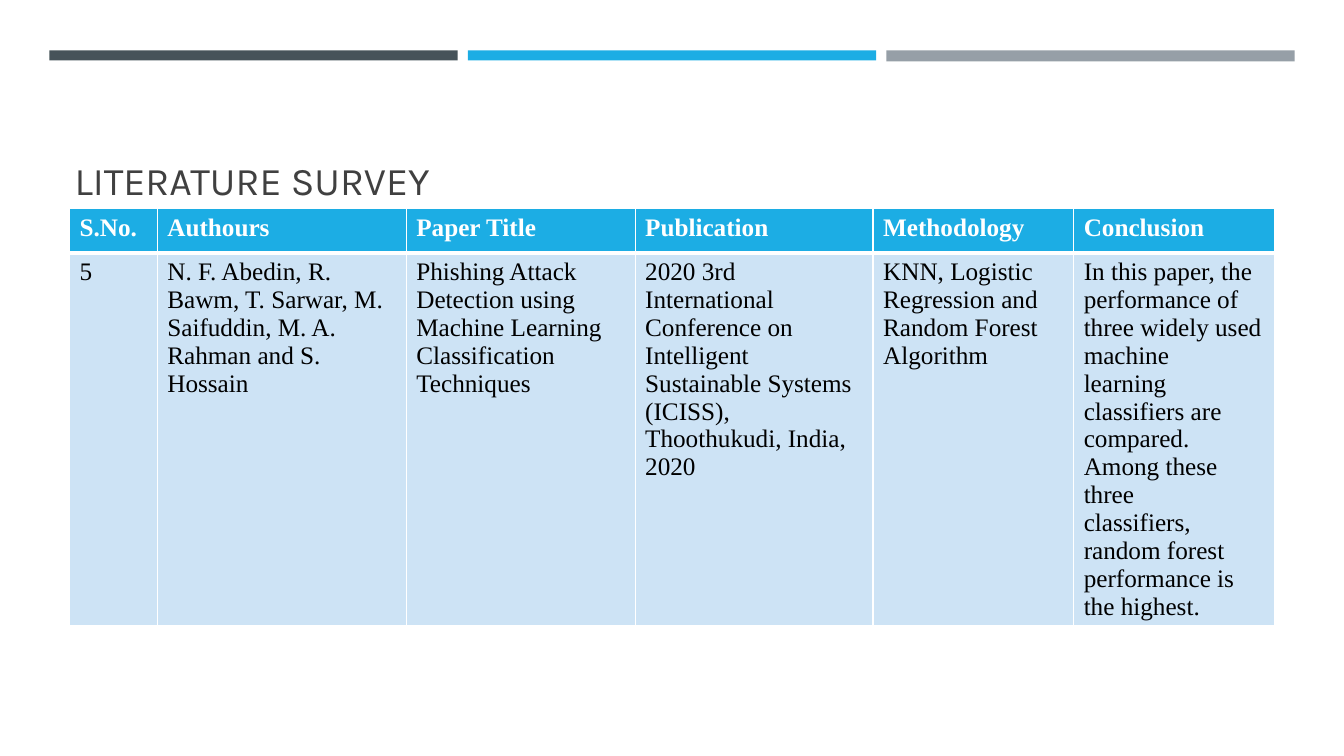
from dataclasses import dataclass

from lxml.etree import SubElement
from pptx import Presentation
from pptx.dml.color import RGBColor
from pptx.enum.shapes import MSO_SHAPE
from pptx.enum.text import MSO_ANCHOR, MSO_AUTO_SIZE, PP_ALIGN
from pptx.oxml.ns import qn
from pptx.util import Emu, Pt

EMU_PER_PX = 9144  # 100 px to the inch
WHITE = "FFFFFF"
BLUE = "1CADE4"


@dataclass
class Bar:
    color: str
    height: int


@dataclass
class Column:
    width: int
    heading: str
    entry: str


@dataclass
class RowStyle:
    height: int
    fill: str
    ink: str
    bold: bool
    top_line: int
    bottom_line: int


BARS = [Bar("465359", 10), Bar(BLUE, 10), Bar("969FA7", 11)]
BAR_LEFT, BAR_TOP, BAR_WIDTH, BAR_STEP = 49, 50, 405, 415

COLUMNS = [
    Column(87, "S.No.", "5"),
    Column(247, "Authours",
           "N. F. Abedin, R. Bawm, T. Sarwar, M. Saifuddin, M. A. Rahman and S. Hossain"),
    Column(227, "Paper Title",
           "Phishing Attack Detection using Machine Learning Classification Techniques"),
    Column(236, "Publication",
           "2020 3rd International Conference on Intelligent Sustainable Systems "
           "(ICISS), Thoothukudi, India, 2020"),
    Column(199, "Methodology", "KNN, Logistic Regression and Random Forest Algorithm"),
    Column(199, "Conclusion",
           "In this paper, the performance of three widely used machine\n"
           "learning classifiers are compared. Among these three\n"
           "classifiers, random forest performance is the highest."),
]
HEADER = RowStyle(44, BLUE, WHITE, True, 1, 3)
BODY = RowStyle(369, "CDE3F5", "000000", False, 3, 1)


def px(length: int) -> Emu:
    return Emu(length * EMU_PER_PX)


def rgb(color: str) -> RGBColor:
    return RGBColor.from_string(color)


def format_text(frame, font: str, size: int, color: str, bold: bool = False) -> None:
    for para in frame.paragraphs:
        para.alignment = PP_ALIGN.LEFT
        for span in para.runs:
            span.font.name = font
            span.font.size = Pt(size)
            span.font.bold = bold
            span.font.color.rgb = rgb(color)


def add_bar(page, bar: Bar, left: int) -> None:
    box = page.shapes.add_shape(
        MSO_SHAPE.RECTANGLE, px(left), px(BAR_TOP), px(BAR_WIDTH), px(bar.height))
    box.shadow.inherit = False
    box.fill.solid()
    box.fill.fore_color.rgb = rgb(bar.color)
    box.line.fill.background()


def set_title(page, text: str) -> None:
    title = page.shapes.title
    title.left, title.top, title.width, title.height = px(64), px(77), px(1206), px(130)
    frame = title.text_frame
    frame.text = text
    frame.word_wrap = True
    frame.auto_size = MSO_AUTO_SIZE.NONE
    frame.vertical_anchor = MSO_ANCHOR.BOTTOM
    format_text(frame, "Karla", 28, "404040")


def add_border(cell, side: str, width: int) -> None:
    line = SubElement(cell._tc.get_or_add_tcPr(), qn(f"a:ln{side}"), w=str(Pt(width)))
    fill = SubElement(line, qn("a:solidFill"))
    SubElement(fill, qn("a:srgbClr"), val=WHITE)


def fill_cell(cell, text: str, style: RowStyle) -> None:
    cell.text_frame.text = text
    format_text(cell.text_frame, "Times New Roman", 18, style.ink, style.bold)
    borders = {"L": 1, "R": 1, "T": style.top_line, "B": style.bottom_line}
    for side, width in borders.items():
        add_border(cell, side, width)
    cell.fill.solid()
    cell.fill.fore_color.rgb = rgb(style.fill)


def add_survey(page) -> None:
    width = sum(column.width for column in COLUMNS)
    table = page.shapes.add_table(
        2, len(COLUMNS), px(69), px(207), px(width), px(HEADER.height + BODY.height)).table
    for row, style in zip(table.rows, (HEADER, BODY)):
        row.height = px(style.height)
    for index, column in enumerate(COLUMNS):
        table.columns[index].width = px(column.width)
        fill_cell(table.cell(0, index), column.heading, HEADER)
        fill_cell(table.cell(1, index), column.entry, BODY)


def main() -> None:
    deck = Presentation()
    deck.slide_width, deck.slide_height = px(1333), px(750)
    page = deck.slides.add_slide(deck.slide_layouts[5])

    # Coloured bars across the top
    for index, bar in enumerate(BARS):
        add_bar(page, bar, BAR_LEFT + index * BAR_STEP)

    # Heading and survey table
    set_title(page, "LITERATURE SURVEY")
    add_survey(page)
    deck.save("out.pptx")


if __name__ == "__main__":
    main()
